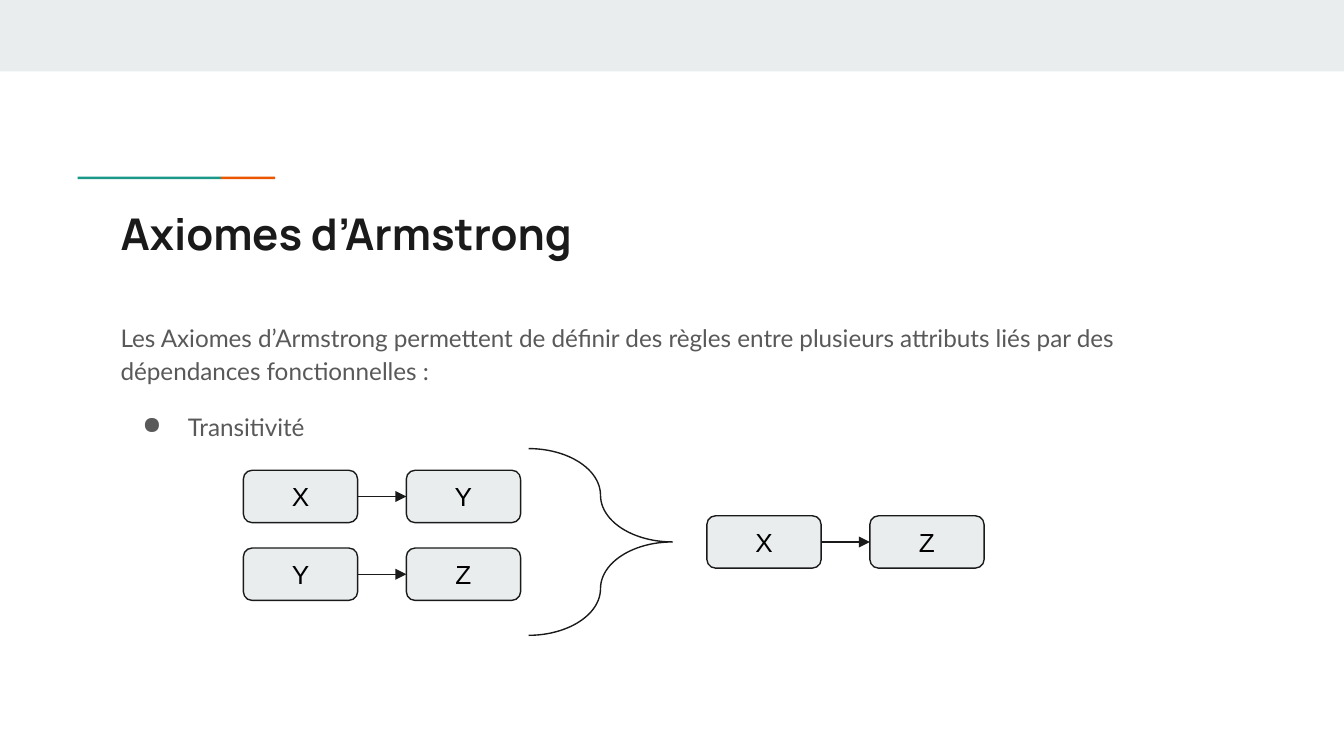
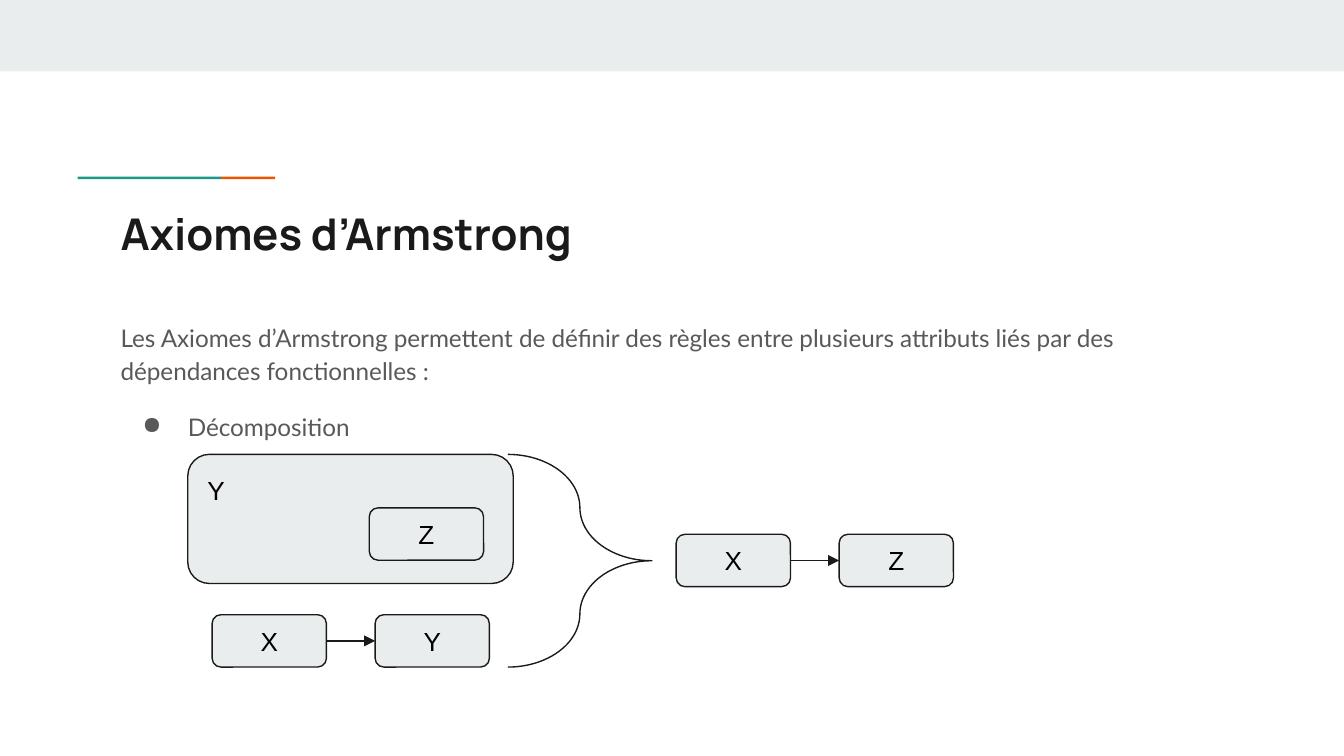
from dataclasses import dataclass
from typing import Any, Optional

import pptx
import pptx.dml.color
import pptx.enum.shapes
import pptx.enum.text
import pptx.oxml.ns
import pptx.oxml.xmlchemy
import pptx.shapes.autoshape
import pptx.slide
import pptx.text.text
import pptx.util

Cm = pptx.util.Cm
Pt = pptx.util.Pt
Shape = pptx.shapes.autoshape.Shape
Slide = pptx.slide.Slide
Forms = pptx.enum.shapes.MSO_SHAPE
Anchor = pptx.enum.text.MSO_ANCHOR
Align = pptx.enum.text.PP_ALIGN
OxmlElement = pptx.oxml.xmlchemy.OxmlElement

COLORS = {
    "panel": "E9EDEE",
    "teal": "1A9988",
    "orange": "EB5600",
    "ink": "1A1A1A",
    "body": "595959",
    "label": "000000",
}
TITLE_FONT = {"name": "Manrope", "size": Pt(23.4), "bold": True}
BODY_FONT = {"name": "Lato", "size": Pt(13)}
LABEL_FONT = {"name": "Arial", "size": Pt(14)}
FRAME = {
    "word_wrap": True,
    "margin_left": Cm(0.25),
    "margin_right": Cm(0.25),
    "margin_top": Cm(0.25),
    "margin_bottom": Cm(0.25),
}
TITLE = "Axiomes d’Armstrong"
INTRO = (
    "Les Axiomes d’Armstrong permettent de définir des règles entre plusieurs "
    "attributs liés par des dépendances fonctionnelles :"
)
ATTRIBUTE_WIDTH, ATTRIBUTE_HEIGHT = 2.16, 0.99
ATTRIBUTE_PITCH = 3.08
BRACE_WIDTH = 2.72


@dataclass(frozen=True)
class Box:
    left: float
    top: float
    width: float
    height: float

    def lengths(self) -> tuple[int, int, int, int]:
        return Cm(self.left), Cm(self.top), Cm(self.width), Cm(self.height)


@dataclass(frozen=True)
class Dependency:
    source: str
    target: str
    left: float
    top: float


@dataclass(frozen=True)
class Attribute:
    label: str
    box: Box


@dataclass(frozen=True)
class Axiom:
    name: str
    body_height: float
    dependencies: tuple[Dependency, ...]
    brace: Box
    whole: Optional[Attribute] = None
    nested: Optional[Attribute] = None


TITLE_BOX = Box(2.03, 3.66, 21.36, 1.5)
ACCENTS = (
    ("panel", Box(0, 0, 25.4, 1.35)),
    ("teal", Box(1.47, 3.34, 2.71, 0.05)),
    ("orange", Box(4.18, 3.34, 1.02, 0.05)),
)
AXIOMS = (
    Axiom(
        "Transitivité",
        6.27,
        (
            Dependency("X", "Y", 4.6, 8.89),
            Dependency("Y", "Z", 4.6, 10.36),
            Dependency("X", "Z", 13.36, 9.75),
        ),
        Box(9.99, 8.48, BRACE_WIDTH, 3.53),
    ),
    Axiom(
        "Décomposition",
        2.82,
        (
            Dependency("X", "Z", 12.78, 10.1),
            Dependency("X", "Y", 4.01, 11.62),
        ),
        Box(9.6, 8.59, BRACE_WIDTH, 4.02),
        whole=Attribute("Y", Box(3.55, 8.59, 6.15, 2.44)),
        nested=Attribute("Z", Box(6.98, 9.6, ATTRIBUTE_WIDTH, ATTRIBUTE_HEIGHT)),
    ),
)


def rgb(color: str) -> pptx.dml.color.RGBColor:
    return pptx.dml.color.RGBColor.from_string(COLORS[color])


def apply(target: Any, formats: dict[str, Any]) -> None:
    for name, value in formats.items():
        setattr(target, name, value)


def write(
    paragraph: pptx.text.text._Paragraph, text: str, font: dict[str, Any], color: str
) -> None:
    run = paragraph.add_run()
    run.text = text
    apply(run.font, font)
    run.font.color.rgb = rgb(color)


def add_form(
    slide: Slide,
    form: Forms,
    box: Box,
    fill: Optional[str] = None,
    outline: Optional[str] = None,
) -> Shape:
    drawn = slide.shapes.add_shape(form, *box.lengths())
    drawn.shadow.inherit = False
    if fill:
        drawn.fill.solid()
        drawn.fill.fore_color.rgb = rgb(fill)
    else:
        drawn.fill.background()
    if outline:
        drawn.line.color.rgb = rgb(outline)
        drawn.line.width = Pt(0.75)
    else:
        drawn.line.fill.background()
    return drawn


def add_frame(slide: Slide, box: Box) -> pptx.text.text.TextFrame:
    frame = slide.shapes.add_textbox(*box.lengths()).text_frame
    apply(frame, FRAME)
    return frame


def add_bullet(paragraph: pptx.text.text._Paragraph) -> None:
    properties = paragraph._p.get_or_add_pPr()
    properties.set("marL", str(Cm(1.27)))
    properties.set("indent", str(-Cm(0.86)))
    tint = OxmlElement("a:buClr")
    swatch = OxmlElement("a:srgbClr")
    swatch.set("val", COLORS["body"])
    tint.append(swatch)
    mark = OxmlElement("a:buChar")
    mark.set("char", "●")
    properties.extend([tint, mark])


def add_attribute(
    slide: Slide,
    attribute: Attribute,
    anchor: Anchor = Anchor.MIDDLE,
    alignment: Align = Align.CENTER,
) -> Shape:
    node = add_form(slide, Forms.ROUNDED_RECTANGLE, attribute.box, "panel", "ink")
    apply(node.text_frame, {**FRAME, "vertical_anchor": anchor})
    label = node.text_frame.paragraphs[0]
    label.alignment = alignment
    write(label, attribute.label, LABEL_FONT, "label")
    return node


def add_arrow(slide: Slide, source: Shape, target: Shape) -> None:
    arrow = slide.shapes.add_connector(
        pptx.enum.shapes.MSO_CONNECTOR.STRAIGHT, 0, 0, 0, 0
    )
    arrow.begin_connect(source, 3)
    arrow.end_connect(target, 1)
    arrow.line.color.rgb = rgb("ink")
    arrow.line.width = Pt(0.75)
    properties = arrow.element.spPr
    head = OxmlElement("a:tailEnd")
    head.set("type", "triangle")
    properties.find(pptx.oxml.ns.qn("a:ln")).append(head)
    properties.append(OxmlElement("a:effectLst"))


def add_dependency(slide: Slide, dependency: Dependency) -> None:
    source, target = (
        add_attribute(
            slide,
            Attribute(
                label,
                Box(
                    round(dependency.left + column * ATTRIBUTE_PITCH, 2),
                    dependency.top,
                    ATTRIBUTE_WIDTH,
                    ATTRIBUTE_HEIGHT,
                ),
            ),
        )
        for column, label in enumerate((dependency.source, dependency.target))
    )
    add_arrow(slide, source, target)


def add_texts(slide: Slide, axiom: Axiom) -> None:
    title = add_frame(slide, TITLE_BOX)
    write(title.paragraphs[0], TITLE, TITLE_FONT, "ink")
    body = add_frame(slide, Box(2.03, 5.77, 21.36, axiom.body_height))
    intro = body.paragraphs[0]
    intro.line_spacing = 1.15
    write(intro, INTRO, BODY_FONT, "body")
    name = body.add_paragraph()
    add_bullet(name)
    apply(name, {"line_spacing": 1.15, "space_before": Pt(12)})
    write(name, axiom.name, BODY_FONT, "body")


def add_axiom(slide: Slide, axiom: Axiom) -> None:
    for color, box in ACCENTS:
        add_form(slide, Forms.RECTANGLE, box, color)
    add_texts(slide, axiom)
    if axiom.whole:
        add_attribute(slide, axiom.whole, Anchor.TOP, Align.LEFT)
    if axiom.nested:
        add_attribute(slide, axiom.nested)
    for dependency in axiom.dependencies:
        add_dependency(slide, dependency)
    brace = add_form(slide, Forms.RIGHT_BRACE, axiom.brace, outline="ink")
    brace.adjustments[0] = 0.5
    brace.adjustments[1] = 0.5


def main() -> None:
    deck = pptx.Presentation()
    apply(deck, {"slide_width": Cm(25.4), "slide_height": Cm(14.29)})
    for axiom in AXIOMS:
        add_axiom(deck.slides.add_slide(deck.slide_layouts[6]), axiom)
    deck.save("out.pptx")


if __name__ == "__main__":
    main()
